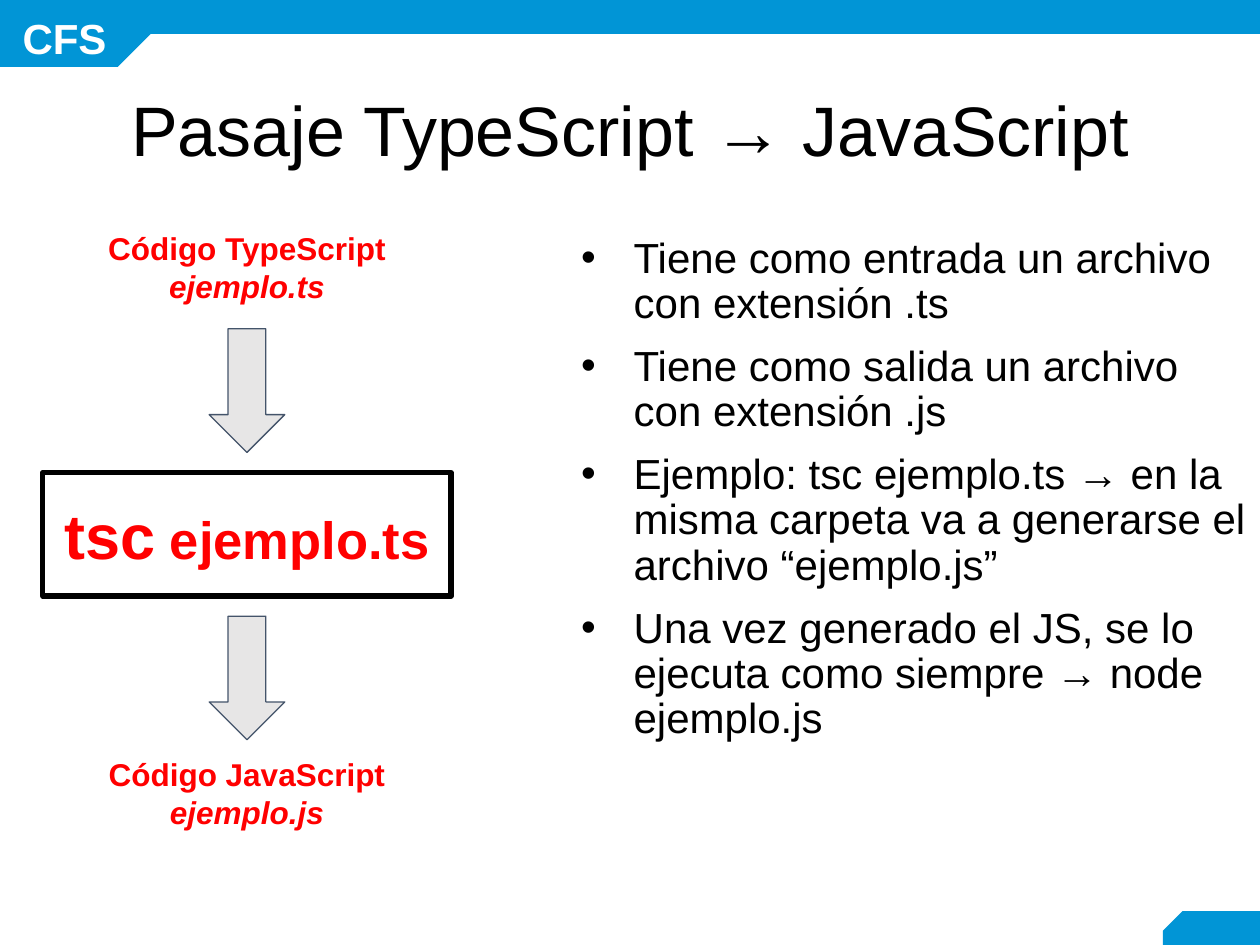
from pptx import Presentation
from pptx.dml.color import RGBColor
from pptx.enum.shapes import MSO_SHAPE as Kind
from pptx.enum.text import MSO_ANCHOR as Anchor, MSO_AUTO_SIZE as Fit, PP_ALIGN as Align
from pptx.oxml.ns import qn
from pptx.util import Pt
from lxml.etree import SubElement

BLUE = RGBColor(0x01, 0x95, 0xD6)
WHITE = RGBColor(0xFF, 0xFF, 0xFF)
BLACK = RGBColor(0, 0, 0)
RED = RGBColor(0xFF, 0, 0)
GREY = RGBColor(0xE7, 0xE6, 0xE6)
SLATE = RGBColor(0x44, 0x54, 0x6A)

# Content: a paragraph is a list of (text, format) runs
TITLE = "Pasaje TypeScript → JavaScript"
LABELS = [
    (133.9, "Código TypeScript ", "ejemplo.ts"),
    (434.2, "Código JavaScript ", "ejemplo.js"),
]
COMMAND = [("tsc", {"size": 36}), (" ejemplo.ts", {"size": 30})]
POINTS = [
    "Tiene como entrada un archivo con extensión .ts",
    "Tiene como salida un archivo con extensión .js",
    "Ejemplo: tsc ejemplo.ts → en la misma carpeta va a generarse el archivo “ejemplo.js”",
    "Una vez generado el JS, se lo ejecuta como siempre → node ejemplo.js",
]

# Flow column: the box sits between two arrows with equal gaps
LEFT, WIDE = 24.5, 233.3
BOX_TOP, BOX_H = 270, 70.6
ARROW_W, ARROW_H, GAP = 43.2, 70.6, 11.5


def write(shape, paras, size=18, color=BLACK, bold=False, align=Align.LEFT,
          anchor=Anchor.TOP, inset=7.2, line=None):
    frame = shape.text_frame
    frame.word_wrap = True
    frame.auto_size = Fit.NONE
    frame.vertical_anchor = anchor
    frame.margin_left = frame.margin_right = Pt(7.2)
    frame.margin_top = frame.margin_bottom = Pt(inset)
    for i, runs in enumerate(paras):
        para = frame.add_paragraph() if i else frame.paragraphs[0]
        para.alignment = align
        if line:
            para.line_spacing = line
        for text, form in runs:
            run = para.add_run()
            run.text = text
            font = run.font
            font.name = "Arial"
            font.size = Pt(form.get("size", size))
            font.bold = bold
            font.italic = form.get("italic", False)
            font.color.rgb = color
    return frame.paragraphs


def draw(kind, x, y, w, h, fill=None, edge=None, width=0.75):
    shape = slide.shapes.add_shape(kind, Pt(x), Pt(y), Pt(w), Pt(h))
    shape.shadow.inherit = False
    if fill is None:
        shape.fill.background()
    else:
        shape.fill.solid()
        shape.fill.fore_color.rgb = fill
    if edge is None:
        shape.line.fill.background()
    else:
        shape.line.color.rgb = edge
        shape.line.width = Pt(width)
    return shape


def snip(x, y, w, h, turn=0):
    shape = draw(Kind.SNIP_1_RECTANGLE, x, y, w, h, BLUE)
    shape.adjustments[0] = 0.5
    shape.rotation = turn
    shape._element.spPr.find(qn("a:xfrm")).set("flipH", "1")


def box(x, y, w, h):
    return slide.shapes.add_textbox(Pt(x), Pt(y), Pt(w), Pt(h))


def bullet(para):
    props = para._p.get_or_add_pPr()
    props.set("marL", str(Pt(72)))
    props.set("indent", str(-Pt(30)))
    tint = SubElement(SubElement(props, qn("a:buClr")), qn("a:srgbClr"))
    tint.set("val", str(BLACK))
    SubElement(props, qn("a:buFont")).set("typeface", "Arial")
    SubElement(props, qn("a:buChar")).set("char", "•")


deck = Presentation()
deck.slide_width, deck.slide_height = Pt(720), Pt(540)
slide = deck.slides.add_slide(deck.slide_layouts[5])

# Blue frame
snip(664.6, 520.6, 55.4, 22.3)
draw(Kind.RECTANGLE, 80.6, 0, 639.4, 19.4, BLUE)
snip(0, 0, 86.4, 38.2, turn=180)
write(box(5.8, 0, 69.1, 41), [[("CFS", {})]], size=24, color=WHITE, bold=True)

# Title
title = slide.shapes.title
title.left, title.top, title.width, title.height = Pt(24.5), Pt(46.8), Pt(671), Pt(59.8)
write(title, [[(TITLE, {})]], size=40, align=Align.CENTER,
      anchor=Anchor.MIDDLE, inset=3.6, line=0.9)

# Compile flow
flow = {"color": RED, "bold": True, "align": Align.CENTER, "anchor": Anchor.MIDDLE}
for top, name, file in LABELS:
    write(box(LEFT, top, WIDE, 37.4), [[(name, {}), (file, {"italic": True})]], **flow)
write(draw(Kind.RECTANGLE, LEFT, BOX_TOP, WIDE, BOX_H, edge=BLACK, width=3),
      [COMMAND], **flow)
for top in (BOX_TOP - GAP - ARROW_H, BOX_TOP + BOX_H + GAP):
    arrow = draw(Kind.DOWN_ARROW, LEFT + (WIDE - ARROW_W) / 2, top,
                 ARROW_W, ARROW_H, GREY, SLATE)
    arrow.adjustments[0] = arrow.adjustments[1] = 0.5

# Bullet points
paras = write(box(283, 128.2, 440.6, 360), [[(text, {})] for text in POINTS],
              size=24, line=0.9)
for i, para in enumerate(paras):
    para.level = 1
    para.space_before = Pt(10 if i else 5)
    para.space_after = Pt(0 if i < len(POINTS) - 1 else 10)
    bullet(para)

deck.save("out.pptx")
